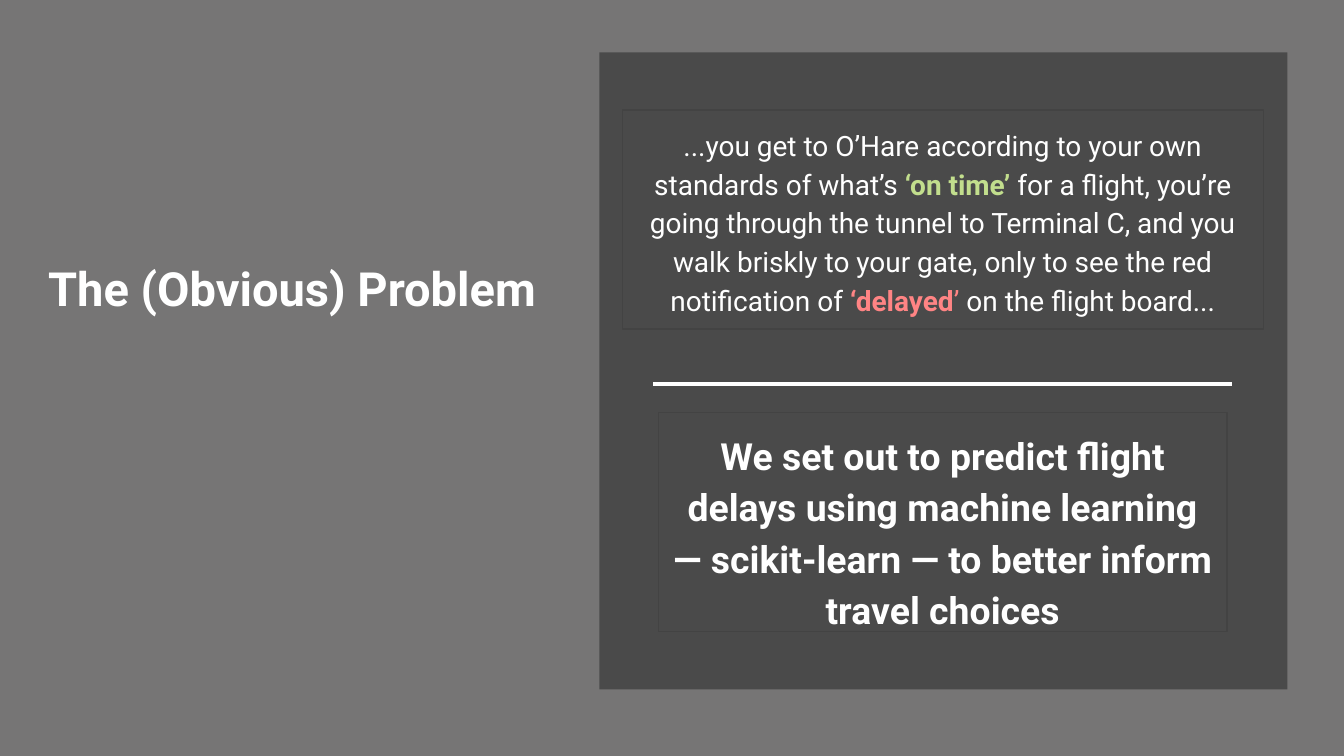
from dataclasses import dataclass

from lxml import etree
from pptx import Presentation
from pptx import util as u
from pptx.dml.color import RGBColor
from pptx.enum import shapes, text
from pptx.oxml.ns import qn

WIDTH = 10
HEIGHT = WIDTH * 9 / 16
WHITE, GREY, BLACK = "FFFFFF", "434343", "302F2F"
GREEN, RED = "C2DE8D", "FF8484"


@dataclass
class Span:
    text: str
    color: str = WHITE
    bold: bool = False


@dataclass
class Panel:
    box: tuple[float, float, float, float]
    color: str
    opacity: int


@dataclass
class TextBlock:
    box: tuple[float, float, float, float]
    size: float
    spans: list[Span]
    framed: bool = True


PANELS = [
    Panel((0, 0, WIDTH, HEIGHT), BLACK, 66),
    Panel((4.46, 0.39, 5.12, 4.74), GREY, 85),
]

BLOCKS = [
    TextBlock((0.26, 1.83, 9.32, 0.63), 25.2,
              [Span("The (Obvious) Problem", bold=True)], framed=False),
    TextBlock((4.9, 3.07, 4.23, 1.63), 20, [
        Span("We set out to predict flight delays using machine learning "
             "— scikit-learn — to better inform travel choices", bold=True),
    ]),
    TextBlock((4.63, 0.82, 4.77, 1.63), 15, [
        Span("...you get to O’Hare according to your own standards of what’s "),
        Span("‘on time’", GREEN, True),
        Span(" for a flight, you’re going through the tunnel to Terminal C, and "
             "you walk briskly to your gate, only to see the red notification of "),
        Span("‘delayed", RED, True),
        Span("’", RED),
        Span(" on the flight board..."),
    ]),
]


def rgb(color: str) -> RGBColor:
    return RGBColor.from_string(color)


def add_panel(s, panel: Panel) -> None:
    sp = s.shapes.add_shape(shapes.MSO_SHAPE.RECTANGLE, *map(u.Inches, panel.box))
    sp.shadow.inherit = False
    sp.line.fill.background()
    sp.fill.solid()
    sp.fill.fore_color.rgb = rgb(panel.color)
    clr = sp._element.spPr.find(qn("a:solidFill"))[0]
    etree.SubElement(clr, qn("a:alpha"), val=str(panel.opacity * 1000))


def add_text(s, block: TextBlock) -> None:
    sp = s.shapes.add_textbox(*map(u.Inches, block.box))
    tf = sp.text_frame
    tf.word_wrap = True
    tf.margin_left = tf.margin_right = tf.margin_top = tf.margin_bottom = u.Inches(0.1)
    p = tf.paragraphs[0]
    if block.framed:
        sp.line.color.rgb = rgb(GREY)
        sp.line.width = u.Pt(0.75)
        p.alignment = text.PP_ALIGN.CENTER
        p.line_spacing = 1.15
        p.space_after = u.Pt(12)
    for span in block.spans:
        r = p.add_run()
        r.text = span.text
        r.font.bold = span.bold
        r.font.color.rgb = rgb(span.color)
    for item in (p, *p.runs):
        item.font.name = "Roboto"
        item.font.size = u.Pt(block.size)


def add_divider(s, left: float, right: float, y: float) -> None:
    line = s.shapes.add_connector(
        shapes.MSO_CONNECTOR.STRAIGHT, *map(u.Inches, (left, y, right, y)))
    line.line.color.rgb = rgb(WHITE)
    line.line.width = u.Pt(2.25)
    etree.SubElement(line._element.spPr, qn("a:effectLst"))


def main() -> None:
    prs = Presentation()
    prs.slide_width, prs.slide_height = u.Inches(WIDTH), u.Inches(HEIGHT)
    s = prs.slides.add_slide(prs.slide_layouts[6])
    s.background.fill.solid()
    s.background.fill.fore_color.rgb = rgb(WHITE)
    for panel in PANELS:
        add_panel(s, panel)
    for block in BLOCKS:
        add_text(s, block)
    add_divider(s, 4.86, 9.17, 2.86)
    prs.save("out.pptx")


if __name__ == "__main__":
    main()
